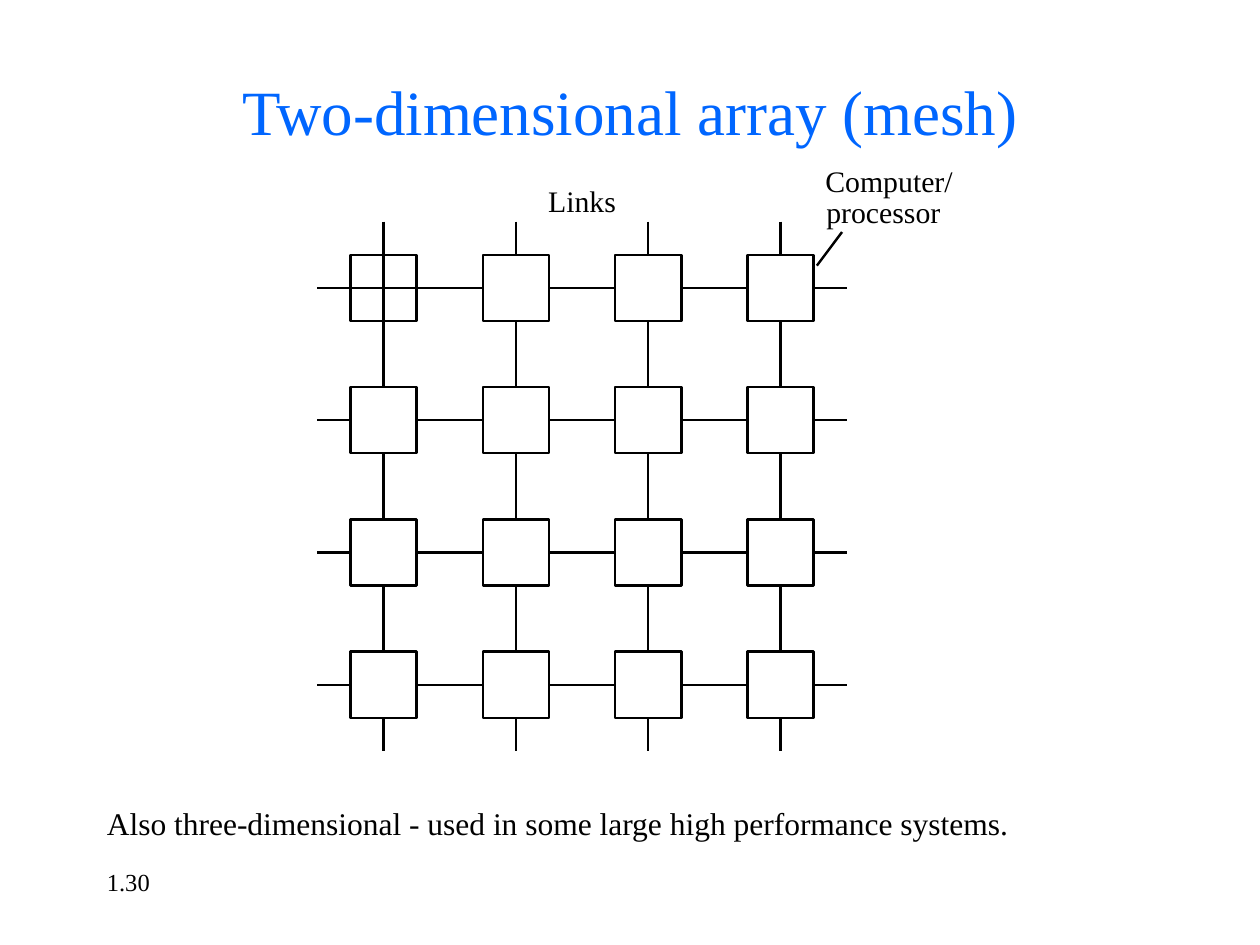
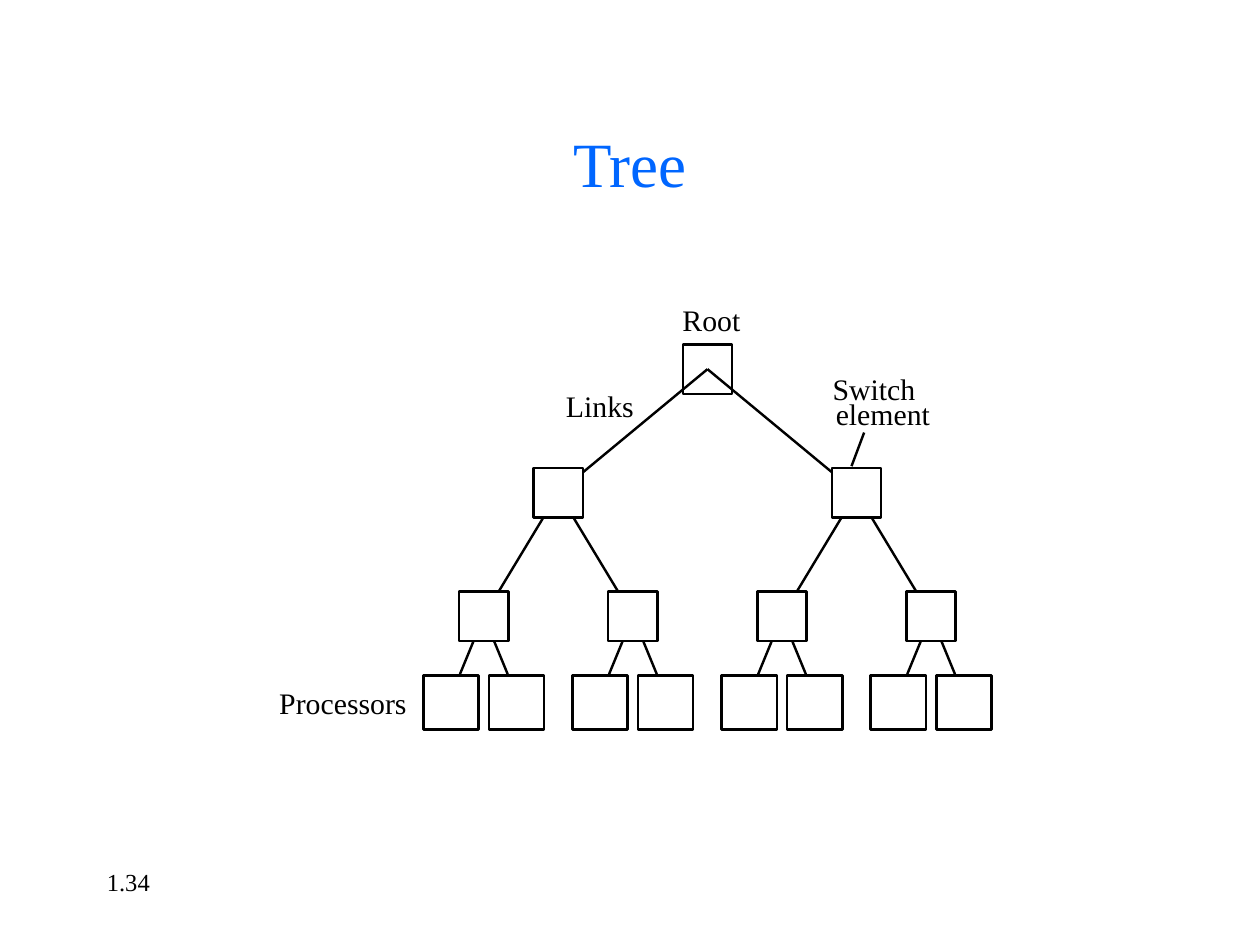
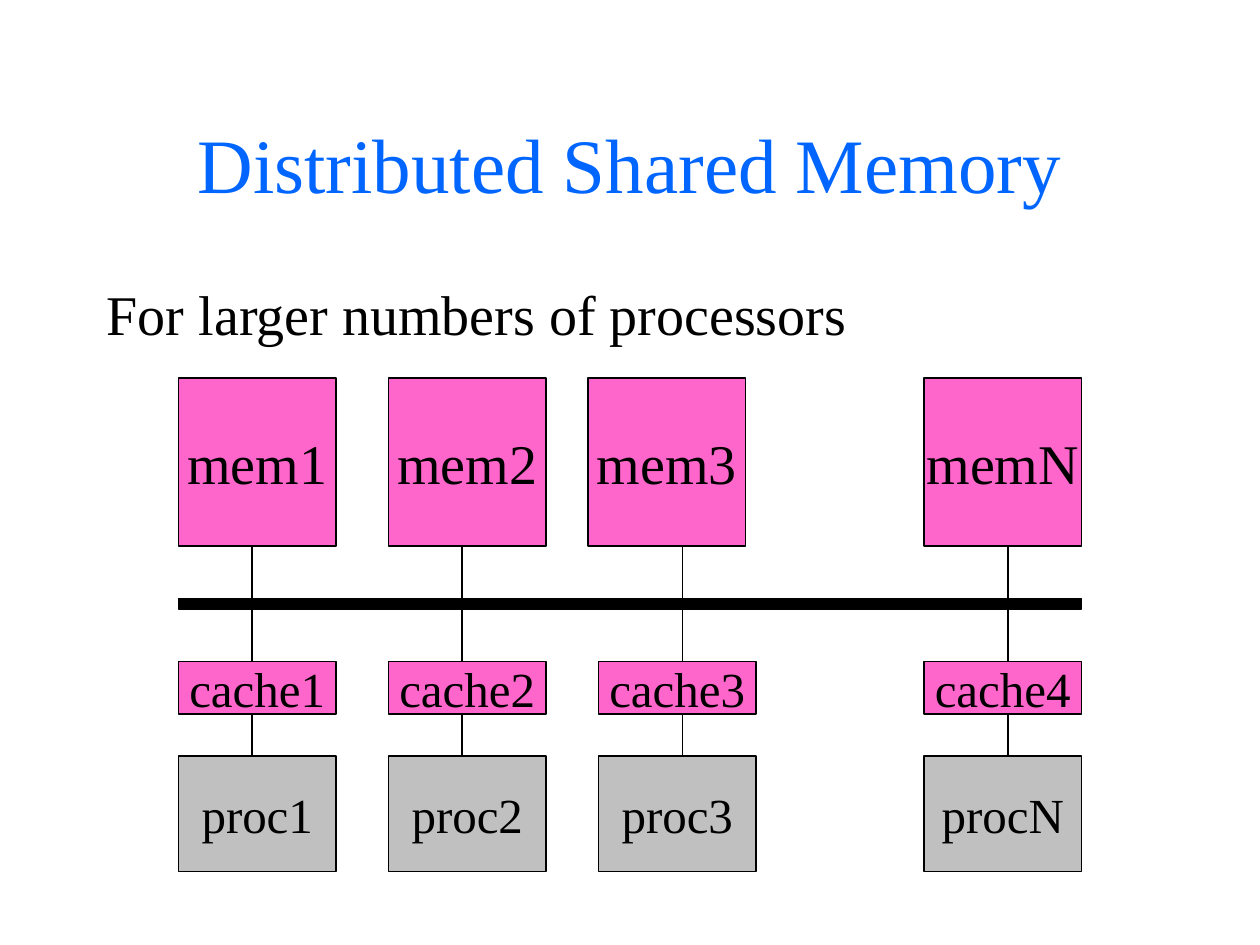
from dataclasses import dataclass
from typing import NamedTuple, Optional

from lxml import etree
from pptx import Presentation
from pptx.dml.color import RGBColor
from pptx.enum.shapes import MSO_CONNECTOR, MSO_SHAPE
from pptx.enum.text import MSO_ANCHOR, PP_ALIGN
from pptx.oxml.ns import qn
from pptx.shapes.autoshape import Shape
from pptx.slide import Slide
from pptx.text.text import TextFrame
from pptx.util import Inches, Length, Pt

RECTANGLE = MSO_SHAPE.RECTANGLE
STRAIGHT = MSO_CONNECTOR.STRAIGHT
LEFT, CENTER = PP_ALIGN.LEFT, PP_ALIGN.CENTER
TOP, MIDDLE = MSO_ANCHOR.TOP, MSO_ANCHOR.MIDDLE

BLACK = RGBColor(0x00, 0x00, 0x00)
WHITE = RGBColor(0xFF, 0xFF, 0xFF)
BLUE = RGBColor(0x00, 0x66, 0xFF)
PINK = RGBColor(0xFF, 0x66, 0xCC)
GRAY = RGBColor(0xC0, 0xC0, 0xC0)

FONT = "Times New Roman"
SLIDE_WIDTH, SLIDE_HEIGHT = 10, 7.5
DIAGRAM_LINE, THIN_LINE = 1.39, 0.75
LABEL_SIZE, LABEL_ROWS = 17, 3.4


@dataclass(frozen=True)
class Grid:
    """Origin and cell size in inches; points on it are columns and rows."""

    left: float
    top: float
    column: float
    row: float

    def x(self, column: float) -> Length:
        return Inches(self.left + column * self.column)

    def y(self, row: float) -> Length:
        return Inches(self.top + row * self.row)

    def width(self, columns: float) -> Length:
        return Inches(columns * self.column)

    def height(self, rows: float) -> Length:
        return Inches(rows * self.row)


class Area(NamedTuple):
    column: float
    row: float
    columns: float
    rows: float


class Point(NamedTuple):
    column: float
    row: float


class Label(NamedTuple):
    text: str
    column: float
    row: float
    columns: float


class MemoryNode(NamedTuple):
    memory: str
    cache: str
    processor: str
    memory_column: float
    processor_column: float
    link_column: float


PAGE = Grid(0, 0, SLIDE_WIDTH / 120, SLIDE_HEIGHT / 90)

MESH_SIDE = 4
MESH_UNITS = 4 * MESH_SIDE
MESH = Grid(2.52, 1.76, 4.2 / MESH_UNITS, 4.2 / MESH_UNITS)
MESH_LABELS = [
    Label("Links", 52.2, 17.4, 6.8),
    Label("Computer/", 78.6, 15.5, 12.6),
    Label("processor", 78.7, 18.5, 11.3),
]

TREE = Grid(3.84, 2.93, 3.55 / 3, 0.98)
TREE_LEVELS = [[1.5], [0.5, 2.5], [0, 1, 2, 3]]
SWITCH_SIZE = (0.33, 0.4)
LEAF_SIZE = (0.37, 0.44)
LEAF_ROW, LEAF_LINK_ROW = 2.7, 2.47
LEAF_OFFSET, LEAF_LINK_OFFSET = 0.22, 0.16
TREE_LABELS = [
    Label("Switch", 79.3, 35.3, 8.3),
    Label("element", 79.6, 37.7, 9.4),
    Label("Root", 65, 28.7, 6),
    Label("Links", 53.9, 36.9, 6.8),
    Label("Processors", 26.6, 65.2, 12.7),
]

MEMORY_NODES = [
    MemoryNode("mem1", "cache1", "proc1", 17, 17, 24),
    MemoryNode("mem2", "cache2", "proc2", 37, 37, 44),
    MemoryNode("mem3", "cache3", "proc3", 56, 57, 65),
    MemoryNode("memN", "cache4", "procN", 88, 88, 96),
]
NODE_COLUMNS = 15


def write(frame: TextFrame, text: str, size: float, color: RGBColor = BLACK,
          alignment: PP_ALIGN = LEFT, anchor: MSO_ANCHOR = TOP) -> None:
    frame.vertical_anchor = anchor
    paragraph = frame.paragraphs[0]
    paragraph.text = text
    paragraph.alignment = alignment
    paragraph.font.name = FONT
    paragraph.font.size = Pt(size)
    paragraph.font.color.rgb = color


def add_text_frame(slide: Slide, area: Area) -> TextFrame:
    frame = slide.shapes.add_textbox(
        PAGE.x(area.column), PAGE.y(area.row),
        PAGE.width(area.columns), PAGE.height(area.rows)).text_frame
    frame.word_wrap = True
    return frame


def add_title(slide: Slide, text: str, row: float, size: float = 36) -> None:
    write(add_text_frame(slide, Area(9, row, 102, 15)), text, size, BLUE, CENTER, MIDDLE)


def add_body(slide: Slide, text: str, row: float, rows: float, size: float) -> None:
    write(add_text_frame(slide, Area(9, row, 102, rows)), text, size)


def add_page_number(slide: Slide, text: str) -> None:
    write(add_text_frame(slide, Area(9, 82, 25, 6)), text, 14)


def add_labels(slide: Slide, labels: list[Label]) -> None:
    for label in labels:
        frame = add_text_frame(slide, Area(label.column, label.row, label.columns, LABEL_ROWS))
        frame.margin_left = frame.margin_right = frame.margin_top = frame.margin_bottom = 0
        write(frame, label.text, LABEL_SIZE)


def add_box(slide: Slide, grid: Grid, area: Area, fill: Optional[RGBColor] = None,
            line_width: float = DIAGRAM_LINE) -> Shape:
    shape = slide.shapes.add_shape(
        RECTANGLE, grid.x(area.column), grid.y(area.row),
        grid.width(area.columns), grid.height(area.rows))
    shape.shadow.inherit = False
    if fill is None:
        shape.fill.background()
    else:
        shape.fill.solid()
        shape.fill.fore_color.rgb = fill
    shape.line.color.rgb = BLACK
    shape.line.width = Pt(line_width)
    return shape


def add_centered_box(slide: Slide, grid: Grid, center: Point, size: tuple[float, float],
                     fill: Optional[RGBColor] = None) -> None:
    columns, rows = size
    area = Area(center.column - columns / 2, center.row - rows / 2, columns, rows)
    add_box(slide, grid, area, fill)


def add_named_box(slide: Slide, text: str, area: Area, fill: RGBColor, size: float) -> None:
    frame = add_box(slide, PAGE, area, fill, THIN_LINE).text_frame
    frame.word_wrap = False
    write(frame, text, size, alignment=CENTER, anchor=MIDDLE)


def add_line(slide: Slide, grid: Grid, start: Point, end: Point,
             line_width: float = DIAGRAM_LINE) -> None:
    connector = slide.shapes.add_connector(
        STRAIGHT, grid.x(start.column), grid.y(start.row), grid.x(end.column), grid.y(end.row))
    connector.line.color.rgb = BLACK
    connector.line.width = Pt(line_width)
    etree.SubElement(connector._element.spPr, qn("a:effectLst"))


def build_mesh(slide: Slide) -> None:
    add_page_number(slide, "1.30")
    add_title(slide, "Two-dimensional array (mesh)", row=3)
    add_body(slide, "Also three-dimensional - used in some large high performance systems.",
             row=76, rows=6, size=18)
    centers = [4 * index + 2 for index in range(MESH_SIDE)]
    for center in centers:
        add_line(slide, MESH, Point(center, 0), Point(center, MESH_UNITS))
        add_line(slide, MESH, Point(0, center), Point(MESH_UNITS, center))
    for row in centers:
        for column in centers:
            is_first = row == column == centers[0]
            add_centered_box(slide, MESH, Point(column, row), (2, 2),
                             None if is_first else WHITE)
    add_line(slide, PAGE, Point(77.8, 25.3), Point(80.2, 22.1))
    add_labels(slide, MESH_LABELS)


def build_tree(slide: Slide) -> None:
    add_page_number(slide, "1.34")
    add_title(slide, "Tree", row=8)
    for row, parents in enumerate(TREE_LEVELS[:-1]):
        for index, child in enumerate(TREE_LEVELS[row + 1]):
            add_line(slide, TREE, Point(parents[index // 2], row), Point(child, row + 1))
    last_row = len(TREE_LEVELS) - 1
    for column in TREE_LEVELS[-1]:
        for side in (-1, 1):
            add_line(slide, TREE, Point(column, last_row),
                     Point(column + side * LEAF_LINK_OFFSET, LEAF_LINK_ROW))
            add_centered_box(slide, TREE, Point(column + side * LEAF_OFFSET, LEAF_ROW), LEAF_SIZE)
    for row, columns in enumerate(TREE_LEVELS):
        for column in columns:
            add_centered_box(slide, TREE, Point(column, row), SWITCH_SIZE,
                             WHITE if row else None)
    add_line(slide, PAGE, Point(82.3, 41.2), Point(81.1, 44.4))
    add_labels(slide, TREE_LABELS)


def build_shared_memory(slide: Slide) -> None:
    add_title(slide, "Distributed Shared Memory", row=8, size=44)
    add_body(slide, "For larger numbers of processors", row=26, rows=54, size=32)
    for node in MEMORY_NODES:
        add_named_box(slide, node.memory, Area(node.memory_column, 36, NODE_COLUMNS, 16), PINK, 32)
        add_named_box(slide, node.cache, Area(node.processor_column, 63, NODE_COLUMNS, 5), PINK, 28)
        add_named_box(slide, node.processor, Area(node.processor_column, 72, NODE_COLUMNS, 11),
                      GRAY, 28)
        for start_row, end_row in ((52, 63), (68, 72)):
            add_line(slide, PAGE, Point(node.link_column, start_row),
                     Point(node.link_column, end_row), THIN_LINE)
    add_box(slide, PAGE, Area(17, 57, 86, 1), BLACK, THIN_LINE)


def main() -> None:
    presentation = Presentation()
    presentation.slide_width = Inches(SLIDE_WIDTH)
    presentation.slide_height = Inches(SLIDE_HEIGHT)
    blank_layout = presentation.slide_layouts[6]
    for build in (build_mesh, build_tree, build_shared_memory):
        build(presentation.slides.add_slide(blank_layout))
    presentation.save("out.pptx")


if __name__ == "__main__":
    main()
